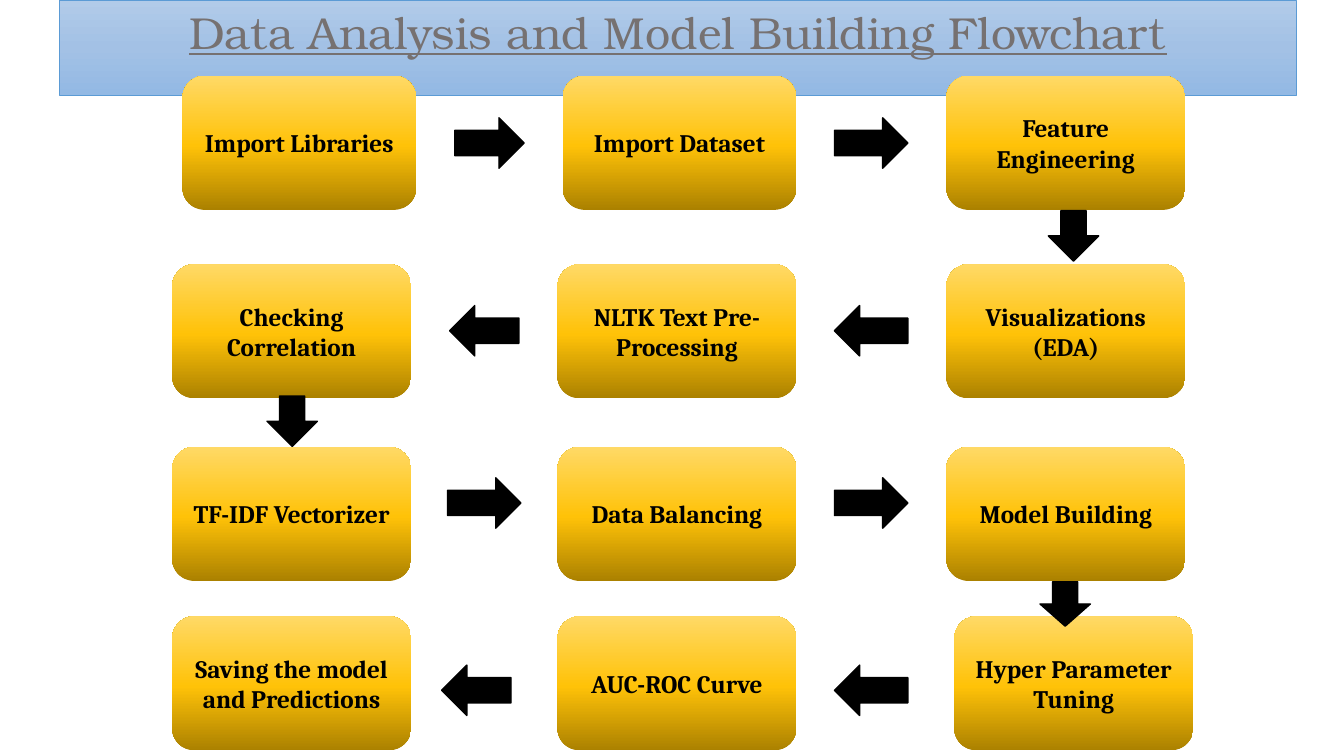
from copy import deepcopy

from pptx import Presentation
from pptx.dml.color import RGBColor
from pptx.enum.shapes import MSO_SHAPE
from pptx.enum.text import MSO_ANCHOR, MSO_AUTO_SIZE, PP_ALIGN
from pptx.util import Cm, Pt

COLOURS = {
    "banner top": "B1CBE9", "banner middle": "A3C1E5", "banner bottom": "93B9E4",
    "banner line": "5B9BD5", "title": "767171",
    "step top": "FFD966", "step middle": "FFC208", "step bottom": "AB8100",
    "black": "000000",
}


def add_shape(kind, left, top, width, height):
    shape = slide.shapes.add_shape(kind, Cm(left), Cm(top), Cm(width), Cm(height))
    shape.shadow.inherit = False
    return shape


def fill_gradient(shape, angle, stops):
    """Fill with three (position, colour name) stops; angle is counter-clockwise."""
    shape.fill.gradient()
    shape.fill.gradient_angle = angle
    first_stop = shape._element.spPr.gradFill.gsLst[0]
    first_stop.addnext(deepcopy(first_stop))
    for stop, (position, name) in zip(shape.fill.gradient_stops, stops):
        stop.position = position
        stop.color.rgb = RGBColor.from_string(COLOURS[name])


presentation = Presentation()
presentation.slide_width = Cm(33.87)
presentation.slide_height = Cm(19.05)
slide = presentation.slides.add_slide(presentation.slide_layouts[6])

# Title banner
banner = add_shape(MSO_SHAPE.RECTANGLE, 1.5, 0, 31.17, 2.4)
fill_gradient(banner, 270, [(0, "banner top"), (0.5, "banner middle"), (1, "banner bottom")])
banner.line.color.rgb = RGBColor.from_string(COLOURS["banner line"])
banner.line.width = Pt(0.5)
banner.text_frame.auto_size = MSO_AUTO_SIZE.SHAPE_TO_FIT_TEXT
banner.text_frame.vertical_anchor = MSO_ANCHOR.TOP
title = banner.text_frame.paragraphs[0]
title.text = "Data Analysis and Model Building Flowchart"
title.alignment = PP_ALIGN.CENTER
title.font.name = "TeX Gyre Bonum"
title.font.size = Pt(32)
title.font.underline = True
title.font.color.rgb = RGBColor.from_string(COLOURS["title"])

# Steps: each row has its top and, per step, left, width and text
STEP_HEIGHT = 3.38
WIDE, NARROW = 6.02, 5.89
LEFT, MIDDLE, RIGHT = 4.34, 14.05, 23.85
STEP_ROWS = [
    (1.91, [(4.6, NARROW, "Import Libraries"),
            (14.18, NARROW, "Import Dataset"),
            (RIGHT, WIDE, "Feature Engineering")]),
    (6.66, [(LEFT, WIDE, "Checking Correlation"),
            (MIDDLE, WIDE, "NLTK Text Pre-Processing"),
            (RIGHT, WIDE, "Visualizations\n(EDA)")]),
    (11.26, [(LEFT, WIDE, "TF-IDF Vectorizer"),
             (MIDDLE, WIDE, "Data Balancing"),
             (RIGHT, WIDE, "Model Building")]),
    (15.53, [(LEFT, WIDE, "Saving the model and Predictions"),
             (MIDDLE, WIDE, "AUC-ROC Curve"),
             (24.05, WIDE, "Hyper Parameter Tuning")]),
]
for top, steps in STEP_ROWS:
    for left, width, text in steps:
        step = add_shape(MSO_SHAPE.FLOWCHART_ALTERNATE_PROCESS, left, top, width, STEP_HEIGHT)
        fill_gradient(step, 90, [(0, "step bottom"), (0.48, "step middle"), (1, "step top")])
        step.line.fill.background()
        step.text_frame.vertical_anchor = MSO_ANCHOR.MIDDLE
        step.text_frame.text = text
        for paragraph in step.text_frame.paragraphs:
            paragraph.alignment = PP_ALIGN.CENTER
            paragraph.font.name = "Cambria"
            paragraph.font.size = Pt(18)
            paragraph.font.bold = True
            paragraph.font.color.rgb = RGBColor.from_string(COLOURS["black"])

# Arrows: kind, left, top, width, height
THICKNESS = 1.27
LONG, SHORT = 1.85, 1.75
SECOND_GAP = 21.03
ARROWS = [
    (MSO_SHAPE.RIGHT_ARROW, 11.46, 2.97, SHORT, THICKNESS),
    (MSO_SHAPE.RIGHT_ARROW, SECOND_GAP, 2.97, LONG, THICKNESS),
    (MSO_SHAPE.DOWN_ARROW, 26.42, 5.31, THICKNESS, THICKNESS),
    (MSO_SHAPE.LEFT_ARROW, SECOND_GAP, 7.7, LONG, THICKNESS),
    (MSO_SHAPE.LEFT_ARROW, 11.33, 7.7, SHORT, THICKNESS),
    (MSO_SHAPE.DOWN_ARROW, 6.73, 9.98, THICKNESS, THICKNESS),
    (MSO_SHAPE.RIGHT_ARROW, 11.28, 12.04, LONG, THICKNESS),
    (MSO_SHAPE.RIGHT_ARROW, SECOND_GAP, 12.04, LONG, THICKNESS),
    (MSO_SHAPE.DOWN_ARROW, 26.21, 14.66, THICKNESS, 1.12),
    (MSO_SHAPE.LEFT_ARROW, SECOND_GAP, 16.76, LONG, THICKNESS),
    (MSO_SHAPE.LEFT_ARROW, 11.13, 16.76, SHORT, THICKNESS),
]
for kind, left, top, width, height in ARROWS:
    arrow = add_shape(kind, left, top, width, height)
    arrow.fill.solid()
    arrow.fill.fore_color.rgb = RGBColor.from_string(COLOURS["black"])
    arrow.line.color.rgb = RGBColor.from_string(COLOURS["black"])
    arrow.line.width = Pt(1)

presentation.save("out.pptx")
